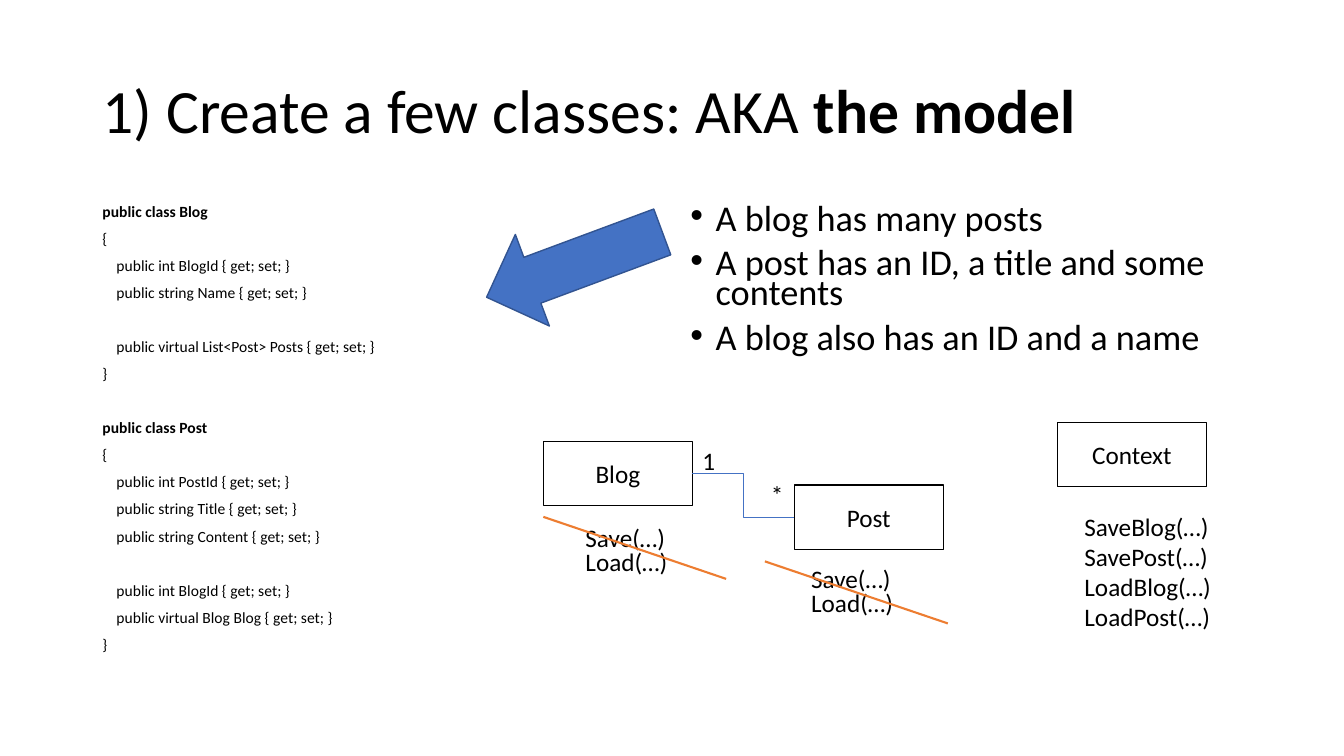
from lxml import etree
from pptx import Presentation
from pptx.dml.color import RGBColor
from pptx.enum.shapes import MSO_CONNECTOR, MSO_SHAPE
from pptx.enum.text import MSO_ANCHOR, MSO_AUTO_SIZE, PP_ALIGN
from pptx.oxml.ns import qn
from pptx.util import Pt

BLACK = RGBColor(0x00, 0x00, 0x00)
WHITE = RGBColor(0xFF, 0xFF, 0xFF)
BLUE = RGBColor(0x44, 0x72, 0xC4)
DARK_BLUE = RGBColor(0x32, 0x54, 0x91)
ORANGE = RGBColor(0xED, 0x7D, 0x31)

CLASS_SIZE = (106.5, 46)
METHOD_PITCH = 17.3
CODE_INDENT = 10
# Extra space before a group of members or a new class
CODE_GAP = 29.4

# (text, level, starts a new group)
CODE = [
    ("public class Blog", 0, False),
    ("{", 0, False),
    ("public int BlogId { get; set; }", 1, False),
    ("public string Name { get; set; }", 1, False),
    ("public virtual List<Post> Posts { get; set; }", 1, True),
    ("}", 0, False),
    ("public class Post", 0, True),
    ("{", 0, False),
    ("public int PostId { get; set; }", 1, False),
    ("public string Title { get; set; }", 1, False),
    ("public string Content { get; set; }", 1, False),
    ("public int BlogId { get; set; }", 1, True),
    ("public virtual Blog Blog { get; set; }", 1, False),
    ("}", 0, False),
]
FACTS = [
    "A blog has many posts",
    "A post has an ID, a title and some contents",
    "A blog also has an ID and a name",
]
CONTEXT_METHODS = ["SaveBlog(…)", "SavePost(…)", "LoadBlog(…)", "LoadPost(…)"]


def apply(target, formats):
    for attribute, value in formats.items():
        setattr(target, attribute, value)


def points(box):
    return [Pt(length) for length in box]


def write(paragraph, text, size, bold=False, **formats):
    run = paragraph.add_run()
    run.text = text
    apply(run.font, {"name": "Calibri", "size": Pt(size), "bold": bold})
    run.font.color.rgb = BLACK
    apply(paragraph, formats)


def paragraphs(frame, count):
    return [frame.paragraphs[0]] + [frame.add_paragraph() for _ in range(count - 1)]


def place(placeholder, box, anchor):
    apply(placeholder, dict(zip(("left", "top", "width", "height"), points(box))))
    frame = placeholder.text_frame
    apply(frame, {"auto_size": MSO_AUTO_SIZE.NONE, "word_wrap": True,
                  "vertical_anchor": anchor})
    return frame


def set_bullet(paragraph, margin, hanging, char=None):
    properties = paragraph._p.get_or_add_pPr()
    properties.set("marL", str(Pt(margin)))
    properties.set("indent", str(Pt(-hanging)))
    if char:
        font = etree.SubElement(properties, qn("a:buFont"))
        font.set("typeface", "Arial")
        etree.SubElement(properties, qn("a:buChar")).set("char", char)
    else:
        etree.SubElement(properties, qn("a:buNone"))


def add_title(placeholder, box):
    paragraph = place(placeholder, box, MSO_ANCHOR.MIDDLE).paragraphs[0]
    write(paragraph, "1) Create a few classes: AKA ", 44,
          alignment=PP_ALIGN.LEFT, line_spacing=0.9)
    write(paragraph, "the model", 44, bold=True)


def add_code(placeholder, box):
    frame = place(placeholder, box, MSO_ANCHOR.TOP)
    for paragraph, (text, level, new_group) in zip(paragraphs(frame, len(CODE)), CODE):
        write(paragraph, text, 11.1, bold=text.startswith("public class"),
              line_spacing=0.7, space_before=Pt(CODE_GAP if new_group else 10))
        set_bullet(paragraph, level * CODE_INDENT, 0)


def add_facts(placeholder, box):
    frame = place(placeholder, box, MSO_ANCHOR.TOP)
    for paragraph, fact in zip(paragraphs(frame, len(FACTS)), FACTS):
        write(paragraph, fact, 25.9, line_spacing=0.7, space_before=Pt(10))
        set_bullet(paragraph, 18, 18, "•")


def add_shape(shapes, kind, box, fill, line):
    shape = shapes.add_shape(kind, *points(box))
    shape.shadow.inherit = False
    shape.fill.solid()
    shape.fill.fore_color.rgb = fill
    shape.line.color.rgb = line
    shape.line.width = Pt(1)
    return shape


def add_arrow(shapes, box):
    arrow = add_shape(shapes, MSO_SHAPE.LEFT_ARROW, box, BLUE, DARK_BLUE)
    arrow.rotation = 339.6


def add_class(shapes, name, left, top):
    box = add_shape(shapes, MSO_SHAPE.RECTANGLE, (left, top, *CLASS_SIZE), WHITE, BLACK)
    box.text_frame.vertical_anchor = MSO_ANCHOR.MIDDLE
    write(box.text_frame.paragraphs[0], name, 18, alignment=PP_ALIGN.CENTER)
    return box


def add_label(shapes, lines, box):
    frame = shapes.add_textbox(*points(box)).text_frame
    apply(frame, {"word_wrap": False, "auto_size": MSO_AUTO_SIZE.SHAPE_TO_FIT_TEXT})
    for paragraph, line in zip(paragraphs(frame, len(lines)), lines):
        write(paragraph, line, 18)


def add_line(shapes, kind, start, end, color, width):
    line = shapes.add_connector(kind, *points(start + end))
    line.line.color.rgb = color
    line.line.width = Pt(width)
    etree.SubElement(line._element.spPr, qn("a:effectLst"))
    return line


def add_dropped_methods(shapes, left, top, strike_left, strike_top):
    for row, (method, width) in enumerate([("Save(…)", 72), ("Load(…)", 73.5)]):
        add_label(shapes, [method], (left, top + row * METHOD_PITCH, width, 29))
    add_line(shapes, MSO_CONNECTOR.STRAIGHT, (strike_left, strike_top),
             (strike_left + 130.6, strike_top + 44.3), ORANGE, 1.5)


def add_model(shapes, left, top):
    # Blog and Post, joined one to many
    post_left, post_top = left + 179.2, top + 31.1
    blog = add_class(shapes, "Blog", left, top)
    post = add_class(shapes, "Post", post_left, post_top)
    relation = add_line(shapes, MSO_CONNECTOR.ELBOW,
                        (left + CLASS_SIZE[0], top + CLASS_SIZE[1] / 2),
                        (post_left, post_top + CLASS_SIZE[1] / 2), BLUE, 0.5)
    relation.begin_connect(blog, 3)
    relation.end_connect(post, 1)
    add_label(shapes, ["1"], (left + CLASS_SIZE[0], top - 0.5, 23.8, 29))
    add_label(shapes, ["*"], (post_left - 23.8, post_top - 7.2, 23.8, 29))
    # Methods that move to the context
    add_dropped_methods(shapes, left + 23, top + 54, left, top + 54)
    add_dropped_methods(shapes, post_left + 5, post_top + 52.6,
                        post_left - 20.9, post_top + 54.7)


def add_context(shapes, left, top):
    add_class(shapes, "Context", left, top)
    add_label(shapes, CONTEXT_METHODS, (left + 12.2, top + 59.8, 106, 94.5))


def main():
    deck = Presentation()
    deck.slide_width, deck.slide_height = Pt(960), Pt(540)
    slide = deck.slides.add_slide(deck.slide_layouts[3])
    title, code, facts = slide.placeholders

    add_title(title, (66, 28.8, 828, 104.4))
    add_code(code, (66, 144, 408, 342.7))
    add_facts(facts, (486, 144, 408, 342.7))
    add_arrow(slide.shapes, (343.4, 154.1, 133.9, 69.8))
    add_model(slide.shapes, 388.1, 315.2)
    add_context(slide.shapes, 755.3, 301.6)

    deck.save("out.pptx")


if __name__ == "__main__":
    main()
